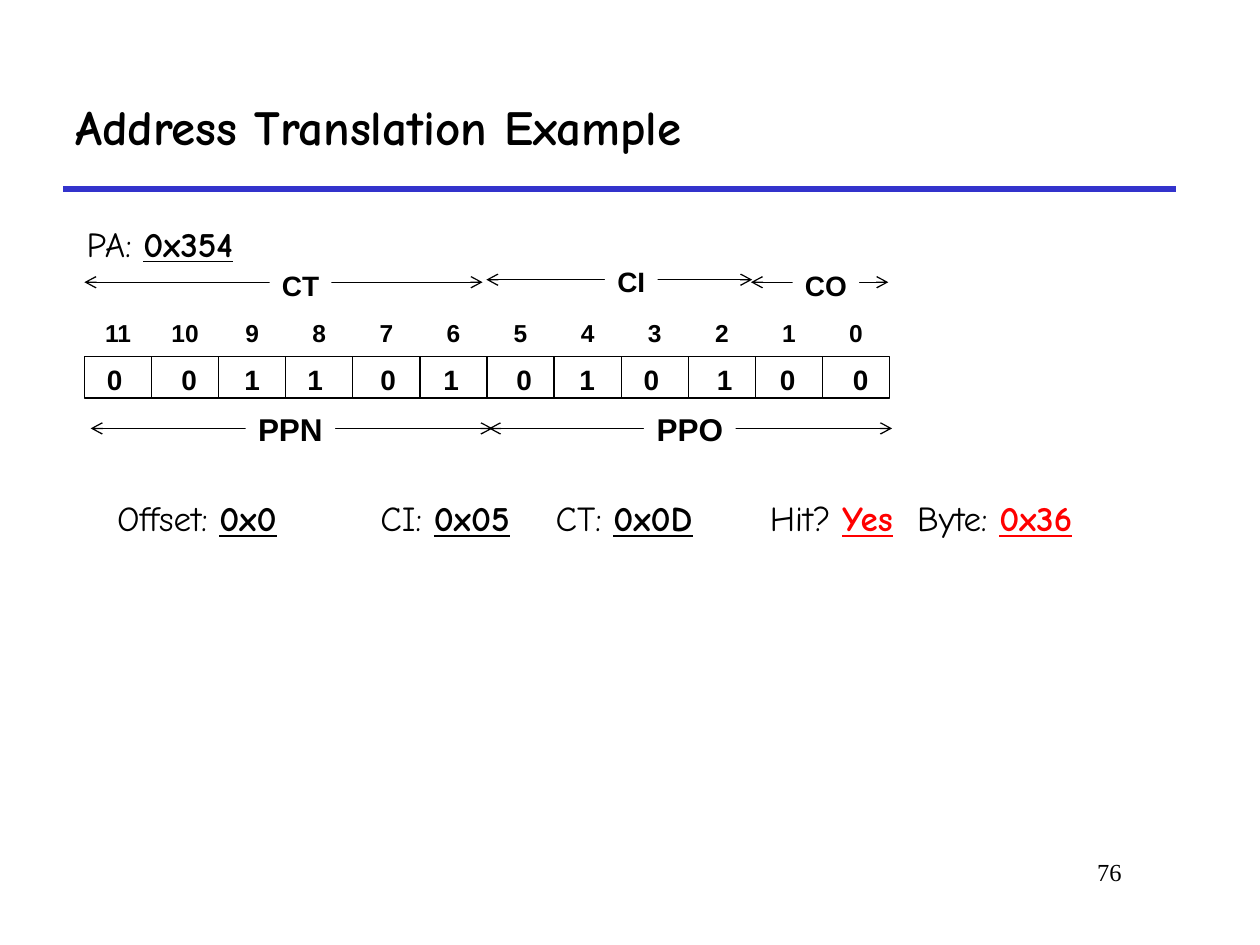
from dataclasses import dataclass

from lxml import etree
from pptx import Presentation
from pptx.dml.color import RGBColor
from pptx.enum import shapes, text
from pptx.oxml import ns
from pptx.util import Inches, Pt


@dataclass(frozen=True)
class Theme:
    ink: str = "000000"
    paper: str = "FFFFFF"
    rule: str = "3333CC"
    answer: str = "FF0000"
    hand: str = "Comic Neue"
    sans: str = "Arial"
    serif: str = "Times New Roman"
    title: int = 28
    body: int = 20
    page_span: int = 18
    cache_span: int = 16
    bit: int = 16
    index: int = 14


THEME = Theme()
LEFT, CENTER, RIGHT = (text.PP_ALIGN.LEFT, text.PP_ALIGN.CENTER,
                       text.PP_ALIGN.RIGHT)
CELL_LEFT, CELL_WIDTH, CELL_HEIGHT = 0.67, 6.39 / 12, 0.33
BITS = "001101010100"
BIT_LEFTS = (0.75, 1.34, 1.84, 2.34, 2.92, 3.42,
             4, 4.5, 5.01, 5.59, 6.09, 6.67)

# label, size, arrow start, arrow end, arrow y, label box
SPANS = (
    ("PPO", THEME.page_span, 3.88, 7.08, 3.4, (5.11, 3.24, 0.73, 0.37)),
    ("PPN", THEME.page_span, 0.72, 3.91, 3.4, (1.95, 3.24, 0.71, 0.37)),
    ("CO", THEME.cache_span, 5.96, 7.05, 2.24, (6.29, 2.11, 0.53, 0.34)),
    ("CI", THEME.cache_span, 3.86, 5.97, 2.22, (4.8, 2.08, 0.42, 0.34)),
    ("CT", THEME.cache_span, 0.67, 3.83, 2.24, (2.14, 2.11, 0.49, 0.34)),
)

# label, value, value colour, tab stop from the first label
ANSWERS = (
    ("Offset: ", "0x0", THEME.ink, 0),
    ("CI: ", "0x05", THEME.ink, 2.09),
    ("CT: ", "0x0D", THEME.ink, 3.48),
    ("Hit? ", "Yes", THEME.answer, 5.18),
    ("Byte: ", "0x36", THEME.answer, 6.35),
)


def add_run(paragraph, words, size, face, color=THEME.ink, bold=False,
            underline=False):
    run = paragraph.add_run()
    run.text = words
    font = run.font
    font.size, font.name = Pt(size), face
    font.bold, font.underline = bold, underline
    font.color.rgb = RGBColor.from_string(color)


def set_frame(shape, align=LEFT, anchor=text.MSO_ANCHOR.TOP, wrap=False,
              spacing=1.0):
    """Lay out a shape's text and return its first paragraph."""
    frame = shape.text_frame
    frame.word_wrap, frame.vertical_anchor = wrap, anchor
    paragraph = frame.paragraphs[0]
    paragraph.alignment, paragraph.line_spacing = align, spacing
    return paragraph


def add_box(slide, box, **layout):
    shape = slide.shapes.add_textbox(*map(Inches, box))
    return shape, set_frame(shape, **layout)


def add_rectangle(slide, box):
    rectangle = slide.shapes.add_shape(shapes.MSO_SHAPE.RECTANGLE,
                                       *map(Inches, box))
    rectangle.shadow.inherit = False
    return rectangle


def add_line(slide, start, end, y, color, width, arrows=False):
    line = slide.shapes.add_connector(
        shapes.MSO_CONNECTOR.STRAIGHT,
        Inches(start), Inches(y), Inches(end), Inches(y))
    line.line.color.rgb = RGBColor.from_string(color)
    line.line.width = Pt(width)
    if arrows:
        outline = line.line._get_or_add_ln()
        for tip in ("a:headEnd", "a:tailEnd"):
            etree.SubElement(outline, ns.qn(tip), type="arrow")
    etree.SubElement(line._element.spPr, ns.qn("a:effectLst"))


def add_heading(slide):
    add_line(slide, 0.5, 9.33, 1.5, THEME.rule, 3)
    _, title = add_box(slide, (0.5, 0.5, 8.83, 1), wrap=True,
                       anchor=text.MSO_ANCHOR.MIDDLE)
    add_run(title, "Address Translation Example", THEME.title, THEME.hand,
            bold=True)
    _, number = add_box(slide, (7.58, 6.75, 1.42, 0.5), align=RIGHT, wrap=True)
    add_run(number, "76", THEME.index, THEME.serif)


def add_question(paragraph, label, value, color=THEME.ink):
    add_run(paragraph, label, THEME.body, THEME.hand)
    add_run(paragraph, value, THEME.body, THEME.hand, color, True, True)


def add_bit_row(slide):
    for i, (bit, bit_left) in enumerate(zip(BITS, BIT_LEFTS)):
        left = CELL_LEFT + i * CELL_WIDTH
        cell = add_rectangle(slide, (left, 2.83, CELL_WIDTH, CELL_HEIGHT))
        cell.fill.background()
        cell.line.color.rgb = RGBColor.from_string(THEME.ink)
        cell.line.width = Pt(0.75)
        _, index = add_box(slide, (left, 2.49, CELL_WIDTH, CELL_HEIGHT),
                           align=CENTER, anchor=text.MSO_ANCHOR.MIDDLE,
                           spacing=0.9)
        add_run(index, str(len(BITS) - 1 - i), THEME.index, THEME.sans,
                bold=True)
        _, value = add_box(slide, (bit_left, 2.83, 0.32, 0.37), align=CENTER)
        add_run(value, bit, THEME.bit, THEME.sans, bold=True)


def add_span(slide, name, size, start, end, y, box):
    """Draw a double arrow interrupted by the name of its bit field."""
    add_line(slide, start, end, y, THEME.ink, 0.75, arrows=True)
    label = add_rectangle(slide, box)
    label.fill.solid()
    label.fill.fore_color.rgb = RGBColor.from_string(THEME.paper)
    label.line.fill.background()
    paragraph = set_frame(label, align=CENTER, spacing=0.9)
    add_run(paragraph, name, size, THEME.sans, bold=True)


def add_answers(slide):
    row, paragraph = add_box(slide, (0.63, 3.93, 8.2, 0.4), wrap=True,
                             spacing=0.9)
    row.text_frame.margin_left = Inches(0.3)
    stops = etree.SubElement(paragraph._p.get_or_add_pPr(), ns.qn("a:tabLst"))
    for label, value, color, stop in ANSWERS:
        if stop:
            etree.SubElement(stops, ns.qn("a:tab"), pos=str(Inches(stop)),
                             algn="l")
            label = "\t" + label
        add_question(paragraph, label, value, color)


def main():
    deck = Presentation()
    deck.slide_width, deck.slide_height = Inches(10), Inches(7.5)
    slide = deck.slides.add_slide(deck.slide_layouts[6])
    add_heading(slide)
    _, address = add_box(slide, (0.59, 1.58, 1.37, 0.57), spacing=1.4)
    add_question(address, "PA: ", "0x354")
    add_bit_row(slide)
    for span in SPANS:
        add_span(slide, *span)
    add_answers(slide)
    deck.save("out.pptx")


if __name__ == "__main__":
    main()
